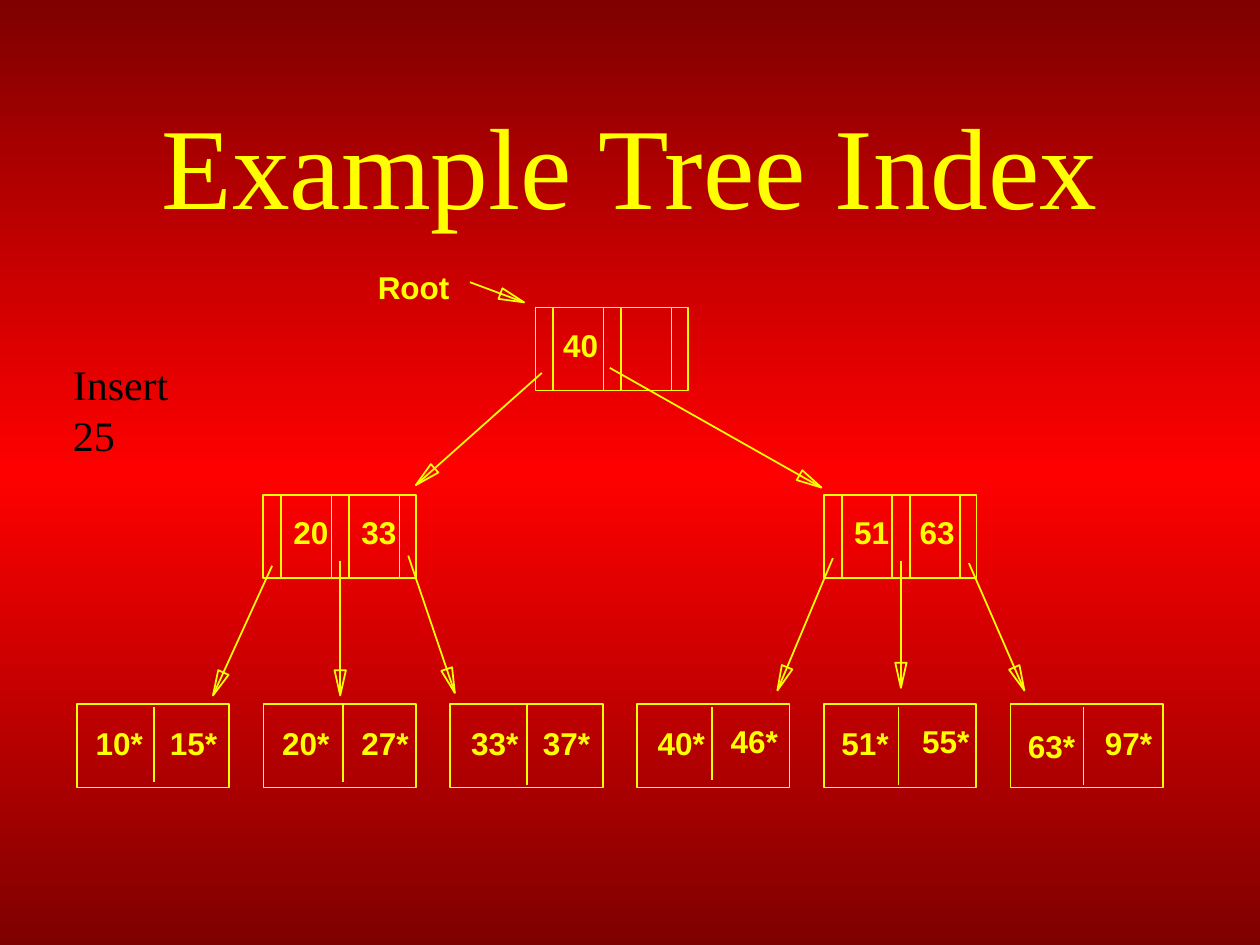
from copy import deepcopy
from dataclasses import dataclass
from math import hypot

from pptx import Presentation
from pptx.dml.color import RGBColor
from pptx.enum.shapes import MSO_CONNECTOR, MSO_SHAPE
from pptx.enum.text import MSO_ANCHOR, MSO_AUTO_SIZE, PP_ALIGN
from pptx.oxml.ns import qn
from pptx.util import Inches, Pt

LINE = MSO_CONNECTOR.STRAIGHT
RECT = MSO_SHAPE.RECTANGLE
MIDDLE = MSO_ANCHOR.MIDDLE
FIT = MSO_AUTO_SIZE.SHAPE_TO_FIT_TEXT
CENTER = PP_ALIGN.CENTER


@dataclass(frozen=True)
class Theme:
    ink: RGBColor = RGBColor(0xFF, 0xFF, 0x00)
    note: RGBColor = RGBColor(0x00, 0x00, 0x00)
    edge: RGBColor = RGBColor(0x7F, 0x00, 0x00)
    glow: RGBColor = RGBColor(0xFF, 0x00, 0x00)
    serif: str = "Times New Roman"
    sans: str = "Arial"
    title: int = 66
    body: int = 24
    key: int = 18
    rule: int = 1


@dataclass(frozen=True)
class Label:
    text: str
    left: float
    top: float
    width: float
    height: float = 0.4


@dataclass(frozen=True)
class Node:
    left: float
    top: float
    keys: tuple[Label, ...]


@dataclass(frozen=True)
class Leaf:
    cut: float
    start: float
    end: float
    keys: tuple[Label, ...]


@dataclass(frozen=True)
class Arrow:
    x1: float
    y1: float
    x2: float
    y2: float


THEME = Theme()
BOX_W, BOX_H = 1.21, 0.66
SLOT, CELL = 0.14, 0.4          # pointer and key widths in an inner node
HEAD, HALF = 0.2, 0.045         # arrowhead length and half width
LEAF_X, LEAF_Y, PITCH = 0.61, 5.59, 7.41 / 5


def key(text: str, left: float, top: float) -> Label:
    return Label(text, left, top, 0.58 if text.endswith("*") else 0.48)


NODES = (
    Node(4.25, 2.44, (key("40", 4.37, 2.54),)),
    Node(2.09, 3.93, (key("20", 2.23, 4.02), key("33", 2.77, 4.02))),
    Node(6.54, 3.93, (key("51", 6.68, 4.02), key("63", 7.2, 4.02))),
)
LEAVES = (
    Leaf(1.22, 5.61, 6.21, (key("10*", 0.66, 5.7), key("15*", 1.25, 5.7))),
    Leaf(2.72, 5.59, 6.21, (key("20*", 2.14, 5.7), key("27*", 2.77, 5.7))),
    Leaf(4.18, 5.59, 6.23, (key("33*", 3.64, 5.7), key("37*", 4.21, 5.7))),
    Leaf(5.65, 5.61, 6.19, (key("40*", 5.12, 5.7), key("46*", 5.7, 5.68))),
    Leaf(7.13, 5.61, 6.23, (key("51*", 6.58, 5.7), key("55*", 7.22, 5.68))),
    Leaf(8.6, 5.61, 6.23, (key("63*", 8.06, 5.72), key("97*", 8.67, 5.7))),
)
ARROWS = (
    Arrow(3.73, 2.24, 4.16, 2.4),
    Arrow(4.3, 2.96, 3.3, 3.85),
    Arrow(4.84, 2.92, 6.52, 3.87),
    Arrow(2.16, 4.49, 1.69, 5.52),
    Arrow(2.7, 4.45, 2.7, 5.52),
    Arrow(3.24, 4.41, 3.61, 5.5),
    Arrow(6.61, 4.43, 6.17, 5.48),
    Arrow(7.15, 4.45, 7.15, 5.46),
    Arrow(7.69, 4.47, 8.13, 5.48),
)


def paint(slide) -> None:
    fill = slide.background.fill
    fill.gradient()
    fill.gradient_angle = 90
    first, last = fill.gradient_stops
    first.color.rgb, first.position = THEME.edge, 0
    last.color.rgb, last.position = THEME.glow, 0.5
    stops = slide.element.find(".//" + qn("a:gsLst"))
    end = deepcopy(stops[0])
    end.set("pos", "100000")
    stops.append(end)


def ink(shape) -> None:
    shape.line.color.rgb = THEME.ink
    shape.line.width = Pt(THEME.rule)


def hollow(shape) -> None:
    shape.shadow.inherit = False
    shape.fill.background()
    ink(shape)


def stroke(slide, x1: float, y1: float, x2: float, y2: float) -> None:
    line = slide.shapes.add_connector(
        LINE, Inches(x1), Inches(y1), Inches(x2), Inches(y2))
    props = line.element.spPr
    ink(line)
    props.append(props.makeelement(qn("a:effectLst"), {}))


def box(slide, left: float, top: float) -> None:
    hollow(slide.shapes.add_shape(
        RECT, Inches(left), Inches(top), Inches(BOX_W), Inches(BOX_H)))


def point(slide, arrow: Arrow) -> None:
    stroke(slide, arrow.x1, arrow.y1, arrow.x2, arrow.y2)
    dx, dy = arrow.x2 - arrow.x1, arrow.y2 - arrow.y1
    size = hypot(dx, dy)
    dx, dy = dx / size, dy / size
    bx, by = arrow.x2 - HEAD * dx, arrow.y2 - HEAD * dy
    wings = [(Inches(bx + s * HALF * dy), Inches(by - s * HALF * dx))
             for s in (1, -1)]
    path = slide.shapes.build_freeform(Inches(arrow.x2), Inches(arrow.y2), 1)
    path.add_line_segments(wings, close=True)
    hollow(path.convert_to_shape())


def write(slide, label: Label, font: str, size: int, color: RGBColor,
          bold: bool = False):
    shape = slide.shapes.add_textbox(
        Inches(label.left), Inches(label.top),
        Inches(label.width), Inches(label.height))
    frame = shape.text_frame
    frame.text = label.text
    frame.word_wrap = False
    frame.auto_size = FIT
    face = frame.paragraphs[0].runs[0].font
    face.name, face.size, face.bold = font, Pt(size), bold
    face.color.rgb = color
    return frame


def mark(slide, label: Label) -> None:
    write(slide, label, THEME.sans, THEME.key, THEME.ink, True)


def main() -> None:
    deck = Presentation()
    deck.slide_width, deck.slide_height = Inches(10), Inches(7.5)
    slide = deck.slides.add_slide(deck.slide_layouts[6])
    paint(slide)

    # Title
    title = write(slide, Label("Example Tree Index", 0.75, 0.67, 8.5, 1.25),
                  THEME.serif, THEME.title, THEME.ink)
    title.word_wrap = True
    title.auto_size = MSO_AUTO_SIZE.NONE
    title.vertical_anchor = MIDDLE
    title.paragraphs[0].alignment = CENTER

    # Leaf pages
    for i, leaf in enumerate(LEAVES):
        box(slide, LEAF_X + i * PITCH, LEAF_Y)
        stroke(slide, leaf.cut, leaf.start, leaf.cut, leaf.end)

    # Inner nodes
    for node in NODES:
        box(slide, node.left, node.top)
        for i in range(2):
            left = node.left + SLOT + i * (SLOT + CELL)
            for x in (left, left + CELL):
                stroke(slide, x, node.top, x, node.top + BOX_H)

    # Pointers
    for arrow in ARROWS:
        point(slide, arrow)

    # Keys and captions
    for part in LEAVES + NODES:
        for label in part.keys:
            mark(slide, label)
    mark(slide, Label("Root", 2.9, 2.08, 0.77))
    write(slide, Label("Insert 25", 0.48, 2.8, 1.37, 0.5),
          THEME.serif, THEME.body, THEME.note)

    deck.save("out.pptx")


if __name__ == "__main__":
    main()
